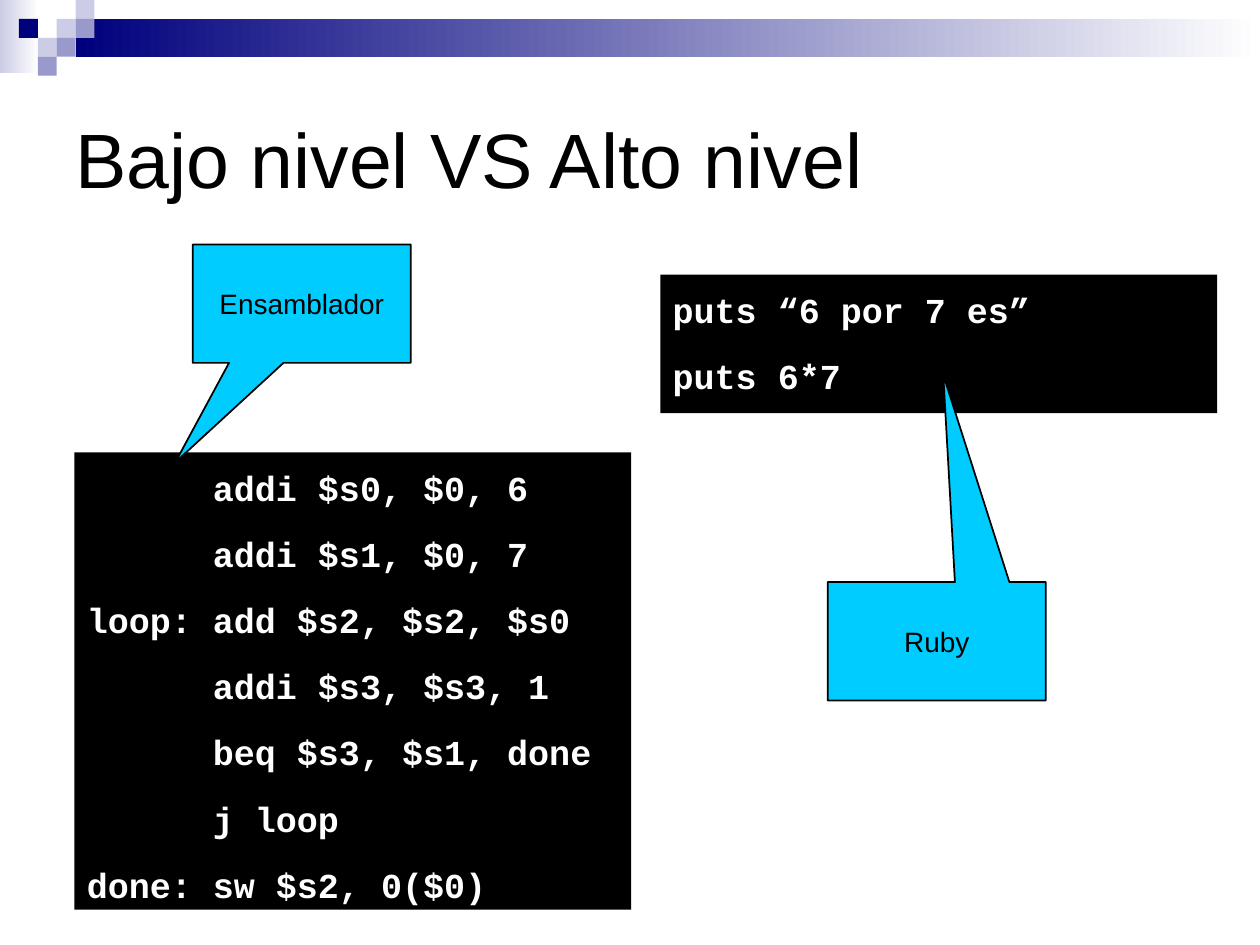
from pptx import Presentation
from pptx.dml.color import RGBColor
from pptx.enum.shapes import MSO_SHAPE
from pptx.enum.text import MSO_ANCHOR, PP_ALIGN
from pptx.util import Inches, Pt

RECT = MSO_SHAPE.RECTANGLE
CALLOUT = MSO_SHAPE.RECTANGULAR_CALLOUT
TOP, MIDDLE = MSO_ANCHOR.TOP, MSO_ANCHOR.MIDDLE
LEFT, CENTER = PP_ALIGN.LEFT, PP_ALIGN.CENTER

BLACK = RGBColor(0x00, 0x00, 0x00)
WHITE = RGBColor(0xFF, 0xFF, 0xFF)
NAVY = RGBColor(0x00, 0x00, 0x7D)
PALE = RGBColor(0xCC, 0xCC, 0xE6)
LILAC = RGBColor(0x99, 0x99, 0xCC)
CYAN = RGBColor(0x00, 0xCC, 0xFF)

TILE = 0.15
TILES = [
    (3, 1, PALE), (4, 0, PALE), (4, 1, LILAC), (2, 2, PALE),
    (1, 1, NAVY), (3, 2, LILAC), (2, 3, LILAC),
]
ASM = [
    "      addi $s0, $0, 6",
    "      addi $s1, $0, 7",
    "loop: add $s2, $s2, $s0",
    "      addi $s3, $s3, 1",
    "      beq $s3, $s1, done",
    "      j loop",
    "done: sw $s2, 0($0)",
]
RUBY = ["puts “6 por 7 es”", "puts 6*7"]


def add_box(slide, box, fill=None, kind=RECT):
    shape = slide.shapes.add_shape(kind, *map(Inches, box))
    shape.shadow.inherit = False
    shape.line.fill.background()
    if fill is not None:
        shape.fill.solid()
        shape.fill.fore_color.rgb = fill
    return shape


def add_fade(slide, box, start, end):
    fill = add_box(slide, box).fill
    fill.gradient()
    fill.gradient_angle = 0
    for stop, color in zip(fill.gradient_stops, (start, end)):
        stop.color.rgb = color


def write(shape, lines, size, color=BLACK, font="Arial", bold=False,
          align=LEFT, anchor=MIDDLE, gap=0, inset=0.05):
    frame = shape.text_frame
    frame.word_wrap = True
    frame.vertical_anchor = anchor
    frame.margin_top = Inches(inset)
    for i, line in enumerate(lines):
        para = frame.add_paragraph() if i else frame.paragraphs[0]
        para.alignment = align
        para.space_before = Pt(gap if i else 0)
        run = para.add_run()
        run.text = line
        run.font.name = font
        run.font.size = Pt(size)
        run.font.bold = bold
        run.font.color.rgb = color


def add_code(slide, box, lines):
    write(add_box(slide, box, BLACK), lines, 20, color=WHITE,
          font="Courier New", bold=True, anchor=TOP, gap=13.8, inset=0.11)


def add_callout(slide, left, top, tip, label):
    shape = add_box(slide, (left, top, 1.73, 0.94), CYAN, CALLOUT)
    shape.adjustments[0], shape.adjustments[1] = tip
    shape.line.color.rgb = BLACK
    shape.line.width = Pt(1)
    write(shape, [label], 16, align=CENTER)


def add_banner(slide):
    add_fade(slide, (0, 0, 0.31, 0.58), PALE, WHITE)
    add_fade(slide, (0.6, TILE, 9.4, 0.3), NAVY, WHITE)
    for col, row, color in TILES:
        add_box(slide, (col * TILE, row * TILE, TILE, TILE), color)


def add_title(slide, text):
    box = map(Inches, (0.5, 0.47, 9, 1.57))
    write(slide.shapes.add_textbox(*box), [text], 44)


def main():
    deck = Presentation()
    deck.slide_width, deck.slide_height = Inches(10), Inches(7.5)
    slide = deck.slides.add_slide(deck.slide_layouts[6])
    add_banner(slide)
    add_title(slide, "Bajo nivel VS Alto nivel")
    add_code(slide, (0.59, 3.59, 4.42, 3.63), ASM)
    add_code(slide, (5.24, 2.18, 4.42, 1.1), RUBY)
    add_callout(slide, 1.53, 1.94, (-0.58, 1.34), "Ensamblador")
    add_callout(slide, 6.57, 4.62, (0.03, -2.25), "Ruby")
    deck.save("out.pptx")


if __name__ == "__main__":
    main()
